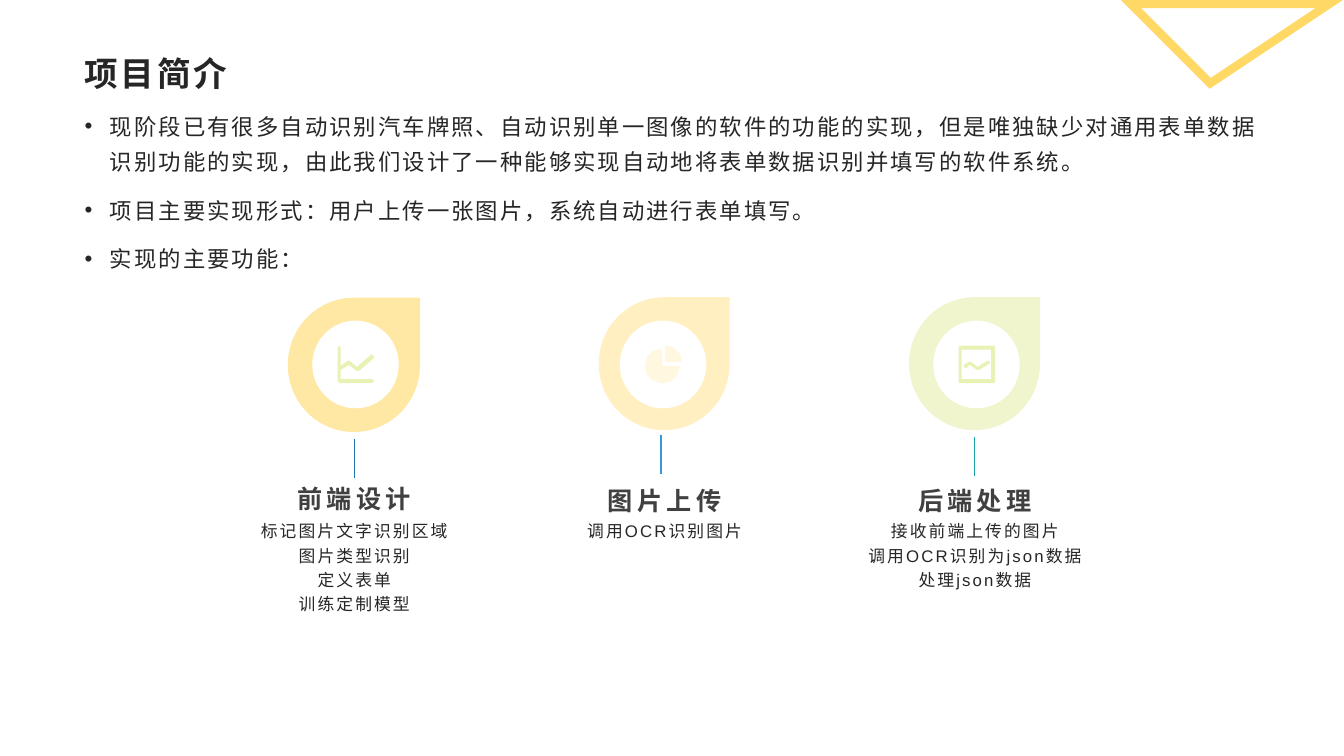
from math import cos, radians, sin

from lxml.etree import SubElement
from pptx import Presentation
from pptx.dml.color import RGBColor as Rgb
from pptx.enum.shapes import MSO_CONNECTOR as Link, MSO_SHAPE as Kind
from pptx.enum.text import MSO_ANCHOR as Anchor, MSO_AUTO_SIZE as Fit, PP_ALIGN as Align
from pptx.oxml.ns import qn
from pptx.util import Cm, Pt

HUES = {
    "text": "262626", "head": "404040", "white": "FFFFFF", "edge": "FFD865",
    "gold": "FFE8A3", "cream": "FFEFC1", "lime": "F1F5CD",
    "leaf": "E9F1B4", "pale": "FFF7E0",
    "navy": "1F74AD", "blue": "3498DB", "teal": "1AA3AA",
}


def hue(name):
    """Return the named colour."""
    return Rgb.from_string(HUES[name])


def arc(x, y, r, start, end):
    """Return a circular sector as a list of points."""
    turns = [radians(a) for a in range(start, end + 1, 5)]
    return [(x, y)] + [(x + r * cos(t), y + r * sin(t)) for t in turns]


def write(frame, lines, size=12, color="text", bold=False, gap=1.5, align=Align.LEFT,
          space=1.0, after=0, anchor=Anchor.TOP, pad=(0.25, 0, 0.25, 0.13), mark=False):
    """Fill a text frame with formatted paragraphs."""
    frame.word_wrap, frame.auto_size, frame.vertical_anchor = True, Fit.NONE, anchor
    (frame.margin_left, frame.margin_top,
     frame.margin_right, frame.margin_bottom) = map(Cm, pad)
    for i, line in enumerate(lines):
        para = frame.add_paragraph() if i else frame.paragraphs[0]
        para.alignment, para.line_spacing = align, space
        para.space_before, para.space_after = Pt(0), Pt(after)
        if mark:
            props = para._p.get_or_add_pPr()
            props.set("marL", str(Cm(0.64)))
            props.set("indent", str(-Cm(0.64)))
            SubElement(props, qn("a:buFont"), typeface="Arial")
            SubElement(props, qn("a:buChar"), char="•")
        run = para.add_run()
        run.text = line
        font = run.font
        font.size, font.bold, font.name = Pt(size), bold, "Arial"
        font.color.rgb = hue(color)
        props = font._element
        props.set("spc", str(int(gap * 100)))
        SubElement(props, qn("a:ea"), typeface="Arial")


class Page:
    """Hold the style and the current slide."""

    def __init__(self, deck):
        """Add a slide with a title and a body."""
        self.slide = deck.slides.add_slide(deck.slide_layouts[1])
        self.shapes = self.slide.shapes

    def place(self, index, box, lines, **style):
        """Move and fill a placeholder."""
        item = self.slide.placeholders[index]
        item.left, item.top, item.width, item.height = map(Cm, box)
        write(item.text_frame, lines, **style)

    def text(self, box, lines, **style):
        """Add a centred text box."""
        item = self.shapes.add_textbox(*map(Cm, box))
        write(item.text_frame, lines, align=Align.CENTER, space=1.2, **style)

    def paint(self, item, fill=None, line=None, width=1):
        """Set the fill and line of a shape."""
        item.shadow.inherit = False
        if fill:
            item.fill.solid()
            item.fill.fore_color.rgb = hue(fill)
        else:
            item.fill.background()
        if line:
            item.line.color.rgb = hue(line)
            item.line.width = Pt(width)
        else:
            item.line.fill.background()
        return item

    def shape(self, kind, box, fill, line=None):
        """Add a preset shape."""
        self.paint(self.shapes.add_shape(kind, *map(Cm, box)), fill, line)

    def form(self, rings, x, y, scale, **style):
        """Add a closed outline made of one or more rings."""
        pen = self.shapes.build_freeform(*rings[0][0], scale=scale)
        for i, ring in enumerate(rings):
            if i:
                pen.move_to(*ring[0])
            pen.add_line_segments(ring[1:], close=True)
        return self.paint(pen.convert_to_shape(Cm(x), Cm(y)), **style)

    def stem(self, x, y, color):
        """Add a short vertical line."""
        item = self.shapes.add_connector(Link.STRAIGHT, Cm(x), Cm(y), Cm(x), Cm(y + 1))
        item.line.color.rgb, item.line.width = hue(color), Pt(1)
        SubElement(item._element.spPr, qn("a:effectLst"))


GRAPH = [[(35, 13), (21, 25), (19, 25), (11, 19), (3, 24), (3, 33), (34, 33),
          (36, 35), (34, 37), (2, 37), (0, 35), (0, 2), (2, 0), (3, 2), (3, 20),
          (10, 15), (12, 15), (19, 21), (33, 9), (34, 9), (36, 11)]]
PIE = [arc(20, 16, 16, -90, 0), arc(17, 20, 17, 0, 270)]
FRAME = [[(1, 0), (35, 0), (36, 1), (36, 36), (35, 37), (1, 37), (0, 36), (0, 1)],
         [(3, 4), (3, 33), (32, 33), (32, 4)],
         [(5, 19), (10, 16), (12, 16), (19, 21), (28, 15), (30, 15), (31, 16),
          (30, 18), (20, 24), (18, 24), (11, 19), (8, 22), (6, 22), (5, 20)]]

STEPS = [
    ("前端设计", ["标记图片文字识别区域", "图片类型识别", "定义表单", "训练定制模型"],
     "gold", "gold", "navy", GRAPH, "leaf", 11.81, 7.52, 2.46, 3.53, 11.05),
    ("图片上传", ["调用OCR识别图片"],
     "cream", None, "blue", PIE, "pale", 11.86, 7.49, 2.39, 3.43, 10.95),
    ("后端处理", ["接收前端上传的图片", "调用OCR识别为json数据", "处理json数据"],
     "lime", None, "teal", FRAME, "leaf", 11.86, 7.49, 2.47, 3.51, 11),
]


def main():
    """Build and save the slide."""
    deck = Presentation()
    deck.slide_width, deck.slide_height = Cm(33.87), Cm(19.05)
    page = Page(deck)
    corner = page.form([[(0, 0), (4.7, 0), (2.35, 2.36)]], 28.5, 0.1, Cm(1),
                       line="edge", width=6)
    SubElement(corner.line._get_or_add_ln(), qn("a:miter"), lim="800000")
    page.place(0, (1.85, 1.22, 30.15, 1.22), ["项目简介"], size=24, bold=True, gap=2,
               anchor=Anchor.MIDDLE, pad=(0.28, 0.1, 0.2, 0.1))
    page.place(1, (1.85, 2.64, 30.15, 14.96), [
        "现阶段已有很多自动识别汽车牌照、自动识别单一图像的软件的功能的实现，但是唯独缺少对通用表单数据"
        "识别功能的实现，由此我们设计了一种能够实现自动地将表单数据识别并填写的软件系统。",
        "项目主要实现形式：用户上传一张图片，系统自动进行表单填写。",
        "实现的主要功能：",
    ], size=16, space=1.3, after=10, pad=(0.28, 0, 0.23, 0), mark=True)
    for i, (head, lines, fill, rim, tone, icon, tint, y, top, hub, mid, low) in enumerate(STEPS):
        x = 5.41 + 7.82 * i
        page.text((x, 13.03, 7.04, 3), lines)
        page.text((x, y, 7.04, 1.14), [head], size=18, color="head", bold=True, gap=3,
                  anchor=Anchor.BOTTOM, pad=(0.25, 0.13, 0.25, 0))
        page.shape(Kind.TEAR, (x + 1.86, top, 3.3, 3.35), fill, rim)
        page.stem(x + mid, low, tone)
        page.shape(Kind.OVAL, (x + hub, 8.08, 2.18, 2.21), "white")
        page.form(icon, x + hub + 0.64, 8.71, Cm(0.92) / 36, fill=tint)
    deck.save("out.pptx")


if __name__ == "__main__":
    main()
